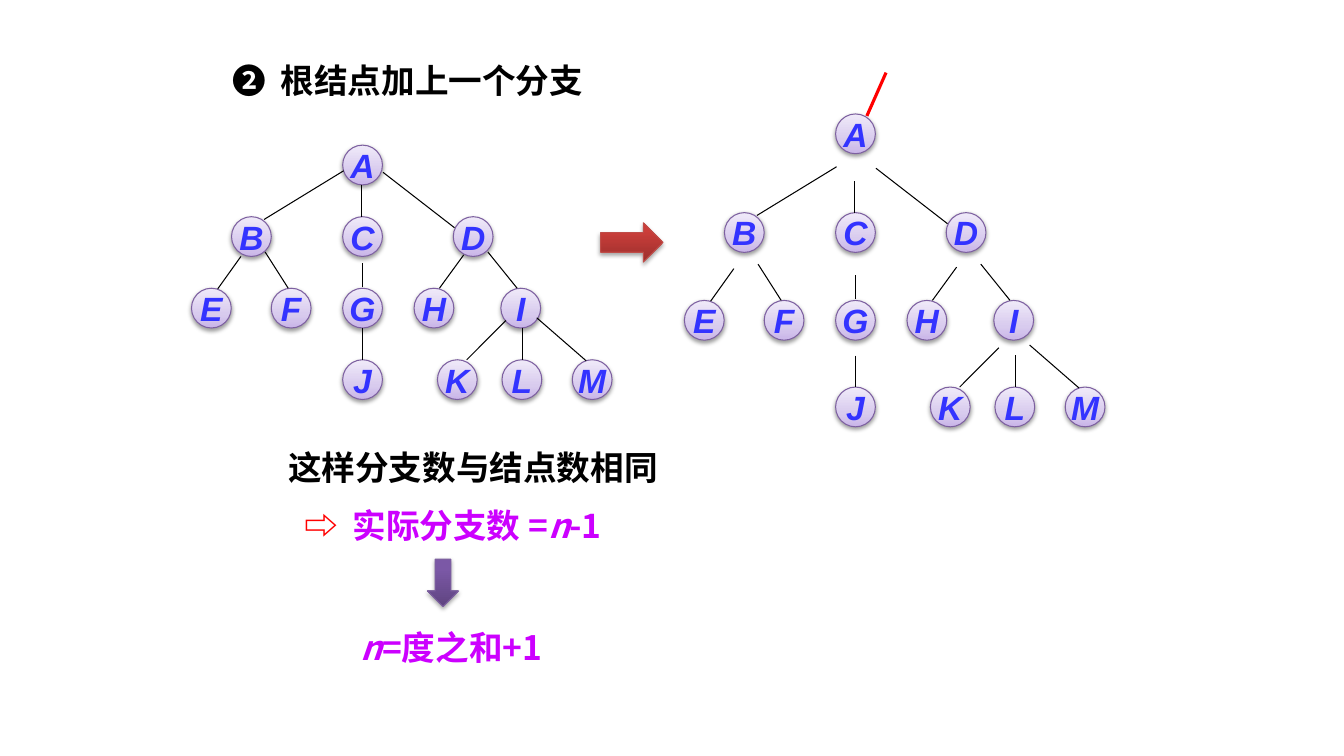
from lxml import etree
from pptx import Presentation, util as u
from pptx.dml.color import RGBColor
from pptx.enum import shapes, text
from pptx.oxml import ns

HUES = {
    "ink": "000000", "blue": "3333FF", "red": "FF0000", "pink": "CC00FF",
    "edge": "7D60A0", "rust": "BF4C48",
}
FADES = {
    "node": [(0, "C9B5E8"), (35, "D8CBEE"), (100, "F0EAF9")],
    "down": [(0, "5F4480"), (80, "7B58A6"), (100, "7C57A8")],
    "right": [(0, "9C2F2D"), (80, "CB3E3A"), (100, "CE3B37")],
}
FACE = "Noto Sans CJK SC"
SIZE = 28.4
HANG = 34.5
NODES = [
    [("A", 108)],
    [("B", 28.6), ("C", 108), ("D", 187)],
    [("E", 0), ("F", 57), ("G", 108), ("H", 159), ("I", 221)],
    [("J", 108), ("K", 175.7), ("L", 221.8), ("M", 272)],
]
EDGES = [
    [],
    [(108.7, -32.8, 51.8, 2), (121.5, -22.3, 121.5, 0), (136.8, -31.7, 187.9, 7.9)],
    [(35.3, -22.7, 18.7, 0.5), (52.6, -25.9, 69.1, 0), (122, -18, 122, -1),
     (194.4, -23.8, 177.1, 0), (211.7, -25.9, 232.6, 0)],
    [(122.2, -22.5, 122.2, 0), (224.6, -28.1, 196.6, 0),
     (236.2, -22.7, 236.2, 0), (246.6, -30, 281.9, 0.7)],
]


def hue(name):
    """Return a palette colour."""
    return RGBColor.from_string(HUES[name])


def sub(node, tag, **attrs):
    """Append a drawing element with its attributes."""
    return etree.SubElement(node, ns.qn("a:" + tag), {k: str(v) for k, v in attrs.items()})


def solid(slide, kind, box, fade, edge, far, dark):
    """Add a preset shape with a vertical gradient and a soft shadow."""
    item = slide.shapes.add_shape(kind, *map(u.Pt, box))
    item.line.color.rgb = hue(edge)
    item.line.width = u.Pt(0.75)
    item.shadow.inherit = False
    prop = item.element.spPr
    fill = etree.Element(ns.qn("a:gradFill"), rotWithShape="1")
    stops = sub(fill, "gsLst")
    for pos, tint in FADES[fade]:
        sub(sub(stops, "gs", pos=pos * 1000), "srgbClr", val=tint)
    sub(fill, "lin", ang=16200000, scaled=0)
    prop.find(ns.qn("a:prstGeom")).addnext(fill)
    glow = sub(prop.find(ns.qn("a:effectLst")), "outerShdw", blurRad=u.Pt(3.1),
               dist=u.Pt(far), dir=5400000, rotWithShape=0)
    sub(sub(glow, "srgbClr", val=HUES["ink"]), "alpha", val=dark * 1000)
    return item


def link(slide, ends, tint="ink", width=0.75):
    """Draw one straight branch."""
    line = slide.shapes.add_connector(shapes.MSO_CONNECTOR.STRAIGHT, *map(u.Pt, ends))
    line.line.color.rgb = hue(tint)
    line.line.width = u.Pt(width)
    sub(line.element.spPr, "effectLst")


def node(slide, x, y, name):
    """Add one lettered tree node."""
    ball = solid(slide, shapes.MSO_SHAPE.OVAL, (x, y, SIZE, SIZE), "node", "edge", 1.6, 38)
    frame = ball.text_frame
    frame.word_wrap = False
    frame.vertical_anchor = text.MSO_ANCHOR.MIDDLE
    para = frame.paragraphs[0]
    para.text = name
    para.alignment = text.PP_ALIGN.CENTER
    font = para.font
    font.name, font.size, font.bold, font.italic = "Arial", u.Pt(24), True, True
    font.color.rgb = hue("blue")


def tree(slide, left, tops, root=False):
    """Lay out the tree from its left edge and row tops."""
    for top, row, lines in zip(tops, NODES, EDGES):
        for name, x in row:
            node(slide, left + x, top, name)
        for x1, y1, x2, y2 in lines:
            link(slide, (left + x1, top + y1, left + x2, top + y2))
    if root:
        top = tops[0]
        link(slide, (left + 144, top - 29.5, left + 130.3, top + 1.4), "red", 2.25)


def note(slide, box, lines, align=text.PP_ALIGN.LEFT):
    """Write paragraphs given as indent, colour and runs of text, colour, slant."""
    frame = slide.shapes.add_textbox(*map(u.Pt, box)).text_frame
    frame.word_wrap = True
    for i, (inset, tint, runs) in enumerate(lines):
        para = frame.add_paragraph() if i else frame.paragraphs[0]
        para.alignment = align
        para.line_spacing = u.Pt(28.8)
        para.space_before = u.Pt(12 if i else 0)
        font = para.font
        font.name, font.size, font.bold = FACE, u.Pt(24), True
        font.color.rgb = hue(tint)
        prop = para._p.get_or_add_pPr()
        sub(prop.find(ns.qn("a:defRPr")), "ea", typeface=FACE)
        if inset:
            prop.set("marL", str(u.Pt(inset)))
            prop.set("indent", str(-u.Pt(HANG)))
        for words, shade, slant in runs:
            run = para.add_run()
            run.text = words
            if shade:
                run.font.color.rgb = hue(shade)
            if slant:
                run.font.italic = True


def proof(slide, left, top):
    """Place the conclusion and the arrow to the formula."""
    note(slide, (left, top, 468.7, 80), [
        (0, "ink", [("这样分支数与结点数相同", None, False)]),
        (46, "pink", [("⇨\t", "red", False), ("实际分支数 =", None, False),
                      ("n", None, True), ("-1", None, False)]),
    ])
    solid(slide, shapes.MSO_SHAPE.DOWN_ARROW, (left + 106.6, top + 83.5, 22.3, 33.8),
          "down", "edge", 1.8, 35)
    note(slide, (left + 28, top + 128.2, 191.5, 36), [
        (0, "pink", [("n", None, True), ("=度之和+1", None, False)]),
    ], text.PP_ALIGN.CENTER)


def main():
    """Build the slide and save it."""
    deck = Presentation()
    deck.slide_width, deck.slide_height = u.Pt(960), u.Pt(540)
    slide = deck.slides.add_slide(deck.slide_layouts[6])
    note(slide, (159, 39.6, 302.4, 36),
         [(HANG, "ink", [("❷\t根结点加上一个分支", None, False)])])
    tree(slide, 136.8, [103.7 + 51.1 * i for i in range(4)])
    solid(slide, shapes.MSO_SHAPE.RIGHT_ARROW, (429, 159.1, 44.6, 28.1),
          "right", "rust", 1.8, 35)
    tree(slide, 488.9, [81.4, 151.9, 214.6, 276.5], root=True)
    proof(slide, 198.7, 316)
    deck.save("out.pptx")


if __name__ == "__main__":
    main()
